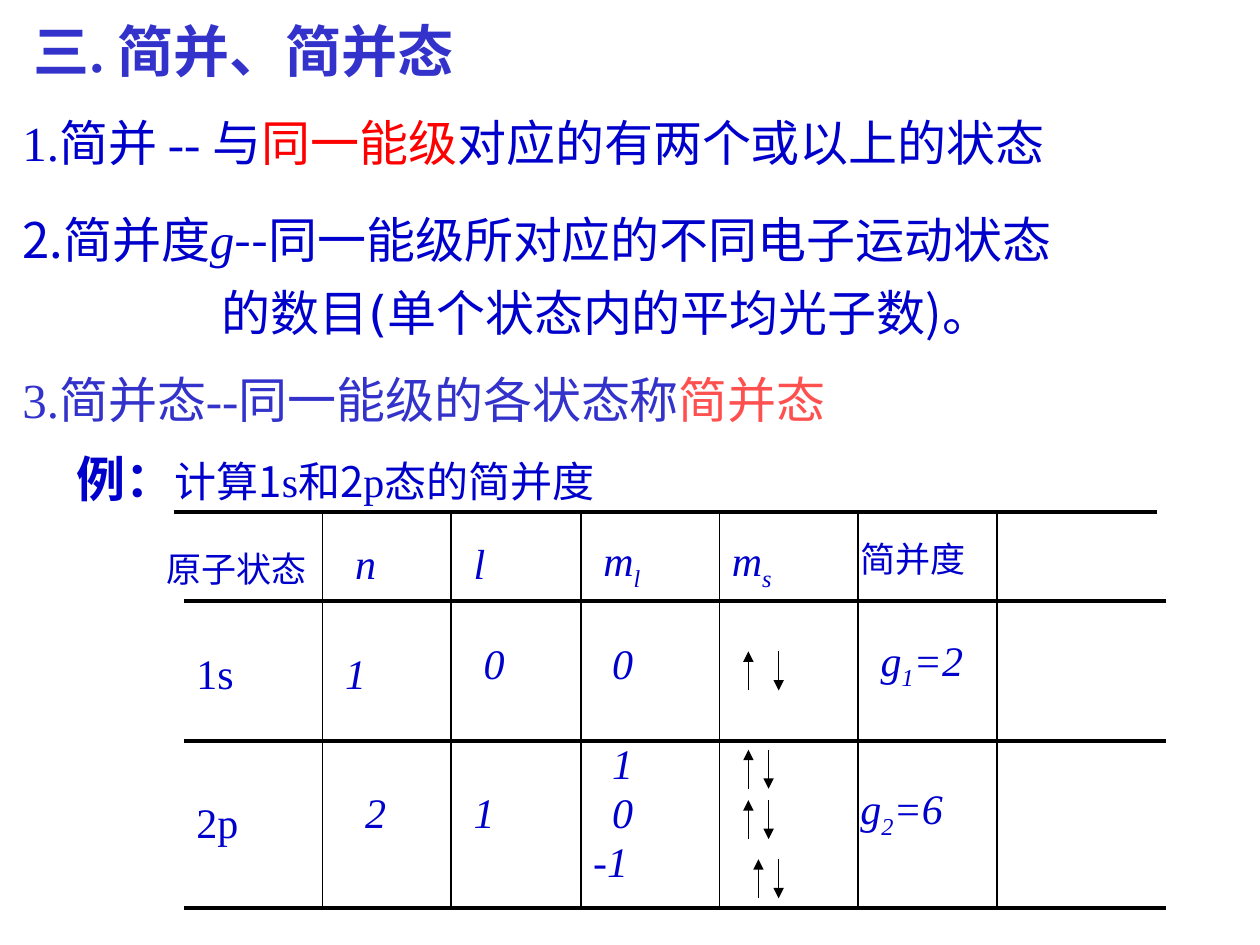
from lxml import etree
from pptx import Presentation
from pptx.dml.color import RGBColor
from pptx.enum import shapes, text
from pptx.oxml import ns
from pptx.util import Inches, Pt

BLUE, INDIGO, RED, CORAL, BLACK = "0000CC", "3333CC", "FF0000", "FF5050", "000000"
SERIF, HAN, SANS = "Times New Roman", "Noto Sans CJK SC", "DejaVu Sans"


def paint(color):
    return RGBColor.from_string(color)


def add_run(para, words, font=SERIF, size=28, color=BLUE, bold=False, italic=False, base=0):
    run = para.add_run()
    run.text = words
    run.font.name, run.font.size = font, Pt(size)
    run.font.bold, run.font.italic = bold, italic
    run.font.color.rgb = paint(color)
    props = run.font._element
    if base:
        props.set("baseline", str(base * 1000))
    props.find(ns.qn("a:latin")).addnext(
        etree.Element(ns.qn("a:ea"), typeface=HAN))


def add_text(slide, left, top, width, height, *lines):
    box = slide.shapes.add_textbox(*map(Inches, (left, top, width, height)))
    frame = box.text_frame
    frame.word_wrap = True
    frame.vertical_anchor = text.MSO_ANCHOR.MIDDLE
    for row, runs in enumerate(lines):
        para = frame.paragraphs[0] if row == 0 else frame.add_paragraph()
        for words, style in runs:
            add_run(para, words, **style)
    return frame


def add_line(slide, x1, y1, x2, y2, width, arrow=False):
    line = slide.shapes.add_connector(
        shapes.MSO_CONNECTOR.STRAIGHT, *map(Inches, (x1, y1, x2, y2)))
    line.line.width = Pt(width)
    line.line.color.rgb = paint(BLACK)
    if arrow:
        etree.SubElement(line.line._get_or_add_ln(), ns.qn("a:tailEnd"), type="triangle")
    etree.SubElement(line._element.spPr, ns.qn("a:effectLst"))


def add_cell(slide, left, top, words, sub="", rest="", italic=True, width=0.71):
    style = {"size": 24, "italic": italic}
    runs = [(words, style)]
    if sub:
        runs.append((sub, {**style, "base": -25}))
    if rest:
        runs.append((rest, style))
    add_text(slide, left, top, width, 0.5, runs)


def add_spins(slide, left, top, gap):
    low = top + 0.31
    add_line(slide, left, low, left, top, 0.75, True)
    add_line(slide, left + gap, top, left + gap, low, 0.75, True)


def add_notes(slide):
    han, sans = {"font": HAN}, {"font": SANS}
    add_text(slide, 0.17, 0.08, 9.5, 0.63,
             [("三. 简并、简并态", {"size": 32, "color": INDIGO, "bold": True})])
    add_text(slide, 0.08, 0.84, 9, 0.57,
             [("1.", {}), ("简并 ", han), ("-- 与", {}), ("同一能级", {"color": RED}),
              ("对应的有两个或以上的状态", {})])
    frame = add_text(slide, 0.08, 1.55, 9.33, 1.27,
                     [("2.简并度", han), ("g", {"italic": True}), ("--", han),
                      ("同一能级所对应的不同电子运动状态", sans)],
                     [("的数目(", sans), ("单个状态内的平均光子数)。", han)])
    para = frame.paragraphs[1]
    para.space_before = Pt(8)
    para._p.get_or_add_pPr().set("marL", str(Inches(1.58)))
    add_text(slide, 0.08, 2.88, 8.98, 0.57,
             [("3.", {"color": INDIGO}), ("简并态", {"font": HAN, "color": INDIGO}),
              ("--同一能级的各状态称", {"color": INDIGO}), ("简并态", {"color": CORAL})])
    small, serif = {"font": HAN, "size": 24}, {"size": 24}
    add_text(slide, 0.51, 3.51, 4.96, 0.57,
             [("例：", {"font": SANS, "bold": True}), ("计算1", small), ("s", serif),
              ("和2", small), ("p", serif), ("态的简并度", small)])


def add_grid(slide):
    top, low = 4.06, 7.21
    add_line(slide, 1.38, top, 9.18, top, 2.25)
    for y in (4.77, 5.88, low):
        add_line(slide, 1.46, y, 9.25, y, 2.25)
    for x in (2.56, 3.58, 4.61, 5.71, 6.81, 7.91):
        add_line(slide, x, top, x, low, 1)


def add_cells(slide):
    for left, words in ((1.22, "原子状态"), (6.73, "简并度")):
        add_text(slide, left, 4.3 if left < 2 else 4.22, 1.5, 0.43,
                 [(words, {"font": SANS, "size": 20})])
    for left, words, sub in ((2.72, "n", ""), (3.66, "l", ""),
                             (4.69, "m", "l"), (5.71, "m", "s")):
        add_cell(slide, left, 4.22, words, sub)
    for top, words in ((5.09, "1s"), (6.27, "2p")):
        add_cell(slide, 1.46, top, words, italic=False)
    for left, top, words in ((2.64, 5.09, "1"), (3.74, 5.01, "0"), (4.76, 5.01, "0"),
                             (2.8, 6.19, "2"), (3.66, 6.19, "1"),
                             (4.76, 5.8, "1"), (4.76, 6.19, "0"), (4.61, 6.58, "-1")):
        add_cell(slide, left, top, words)
    add_cell(slide, 6.89, 5.01, "g", "1", "=2", width=1.18)
    add_cell(slide, 6.73, 6.19, "g", "2", "=6", width=1.18)
    for left, top, gap in ((5.94, 5.17, 0.24), (5.94, 5.95, 0.16),
                           (5.94, 6.35, 0.16), (6.02, 6.82, 0.16)):
        add_spins(slide, left, top, gap)


def main():
    deck = Presentation()
    deck.slide_width, deck.slide_height = Inches(10), Inches(7.5)
    slide = deck.slides.add_slide(deck.slide_layouts[6])
    add_notes(slide)
    add_grid(slide)
    add_cells(slide)
    deck.save("out.pptx")


if __name__ == "__main__":
    main()
